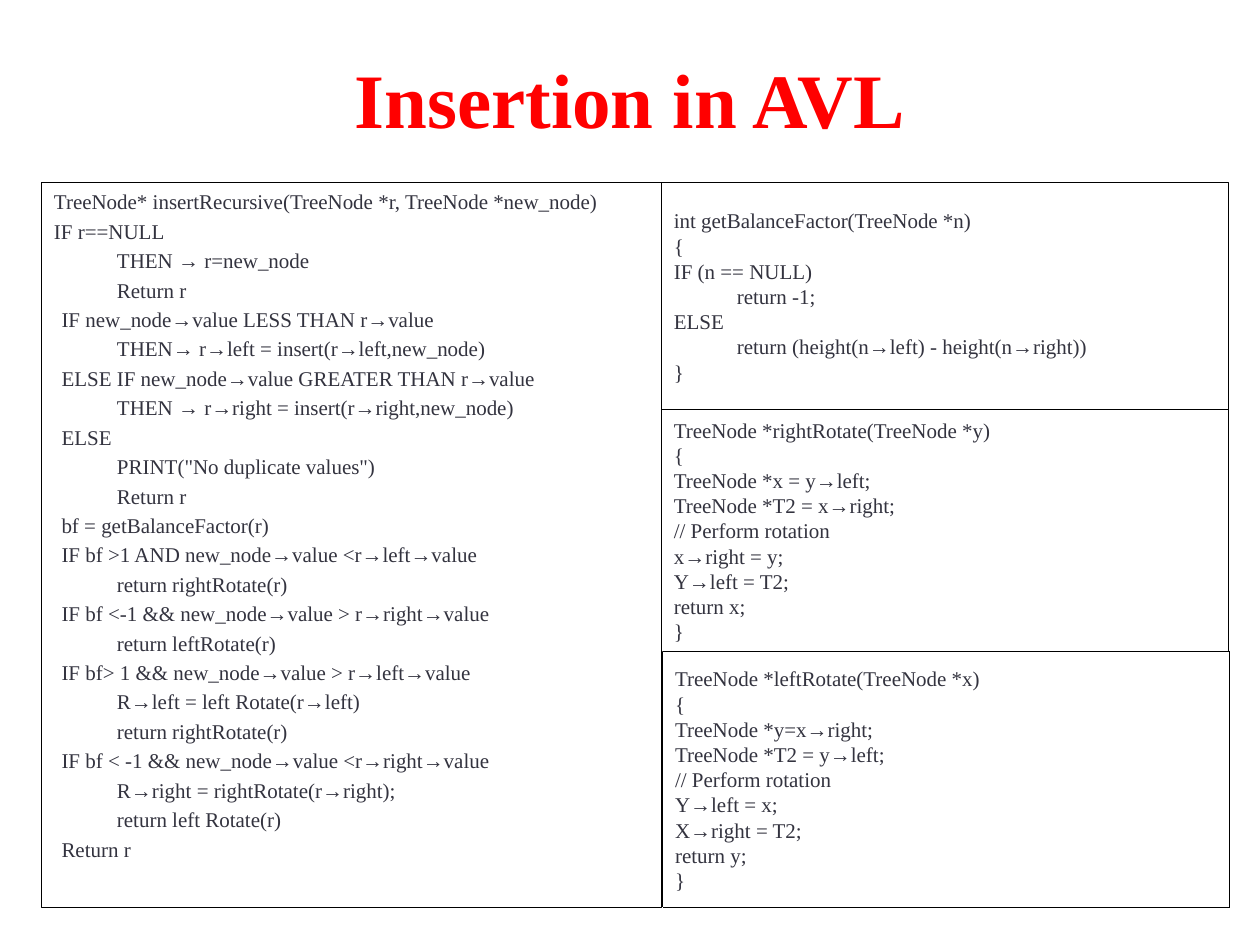
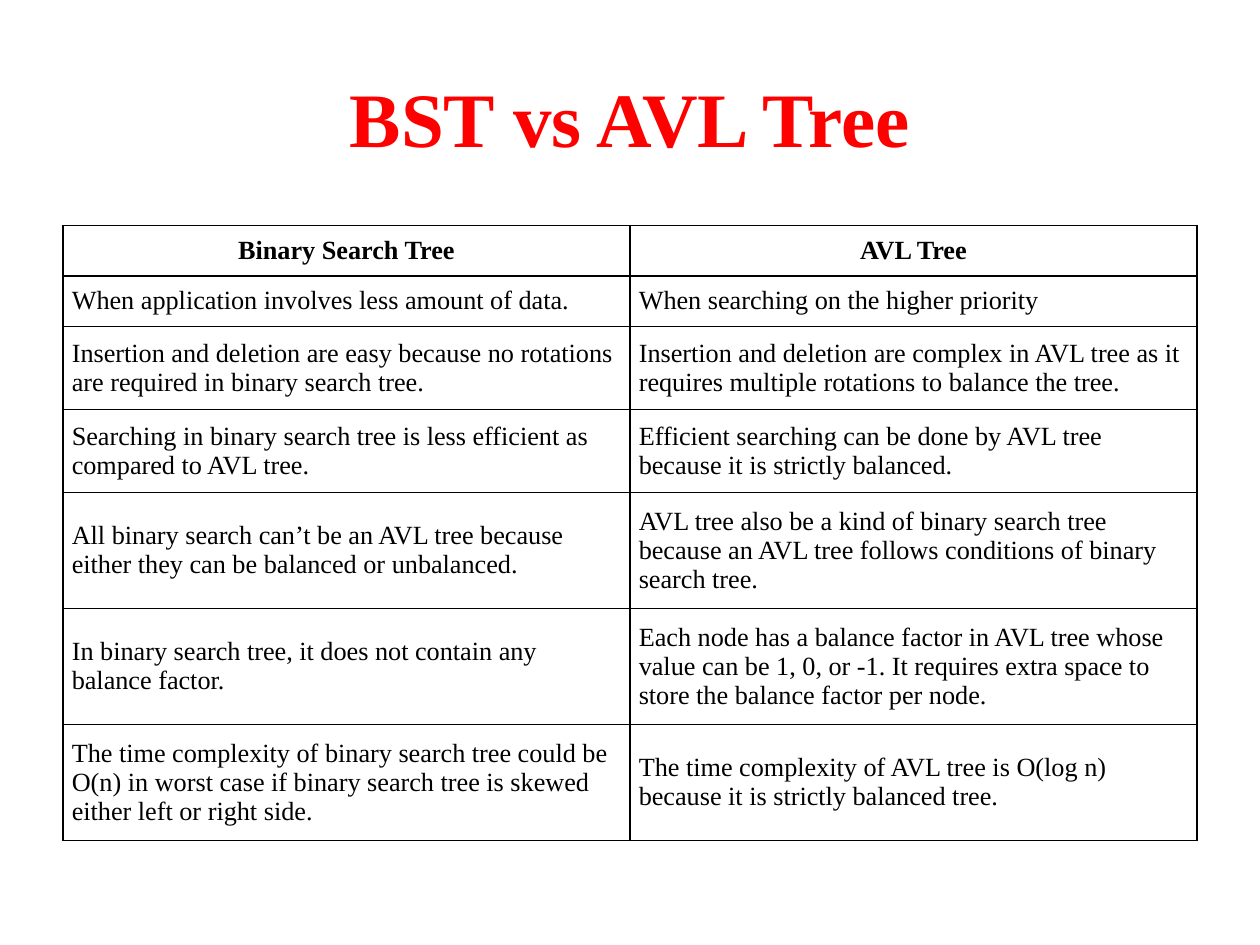
from lxml.etree import SubElement
from pptx import Presentation
from pptx.dml.color import RGBColor
from pptx.enum.dml import MSO_LINE
from pptx.enum.shapes import MSO_SHAPE
from pptx.enum.text import MSO_ANCHOR, PP_ALIGN
from pptx.oxml.ns import qn
from pptx.util import Inches, Pt

RED = RGBColor(0xFF, 0x00, 0x00)
BLACK = RGBColor(0x00, 0x00, 0x00)
WHITE = RGBColor(0xFF, 0xFF, 0xFF)
SLATE = RGBColor(0x33, 0x33, 0x3F)
FONT = "Times New Roman"

WIDTH, HEIGHT = 10, 7.5
MARGIN = WIDTH * 0.05
TITLE_TOP = HEIGHT * 0.04
CELL_INSET = Inches(0.07)

# Leading spaces of a code line -> left indent in inches
INDENTS = {0: 0, 1: 0.06, 4: 0.5}

INSERT_CODE = """\
TreeNode* insertRecursive(TreeNode *r, TreeNode *new_node)
IF r==NULL
    THEN → r=new_node
    Return r
 IF new_node→value LESS THAN r→value
    THEN→ r→left = insert(r→left,new_node)
 ELSE IF new_node→value GREATER THAN r→value
    THEN → r→right = insert(r→right,new_node)
 ELSE
    PRINT("No duplicate values")
    Return r
 bf = getBalanceFactor(r)
 IF bf >1 AND new_node→value <r→left→value
    return rightRotate(r)
 IF bf <-1 && new_node→value > r→right→value
    return leftRotate(r)
 IF bf> 1 && new_node→value > r→left→value
    R→left = left Rotate(r→left)
    return rightRotate(r)
 IF bf < -1 && new_node→value <r→right→value
    R→right = rightRotate(r→right);
    return left Rotate(r)
 Return r"""

BALANCE_CODE = """\
int getBalanceFactor(TreeNode *n)
{
IF (n == NULL)
    return -1;
ELSE
    return (height(n→left) - height(n→right))
}"""

RIGHT_ROTATE_CODE = """\
TreeNode *rightRotate(TreeNode *y)
{
TreeNode *x = y→left;
TreeNode *T2 = x→right;
// Perform rotation
x→right = y;
Y→left = T2;
return x;
}"""

LEFT_ROTATE_CODE = """\
TreeNode *leftRotate(TreeNode *x)
{
TreeNode *y=x→right;
TreeNode *T2 = y→left;
// Perform rotation
Y→left = x;
X→right = T2;
return y;
}"""

# Row height in inches, then the two cells
COMPARISON = [
    (0.4, "Binary Search Tree", "AVL Tree"),
    (0.4, "When application involves less amount of data.",
     "When searching on the higher priority"),
    (0.66, "Insertion and deletion are easy because no rotations are required "
     "in binary search tree.",
     "Insertion and deletion are complex in AVL tree as it requires multiple "
     "rotations to balance the tree."),
    (0.66, "Searching in binary search tree is less efficient as compared to "
     "AVL tree.",
     "Efficient searching can be done by AVL tree because it is strictly "
     "balanced."),
    (0.92, "All binary search can’t be an AVL tree because either they can be "
     "balanced or unbalanced.",
     "AVL tree also be a kind of binary search tree because an AVL tree "
     "follows conditions of binary search tree."),
    (0.92, "In binary search tree, it does not contain any balance factor.",
     "Each node has a balance factor in AVL tree whose value can be 1, 0, or "
     "-1. It requires extra space to store the balance factor per node."),
    (0.92, "The time complexity of binary search tree could be O(n) in worst "
     "case if binary search tree is skewed either left or right side.",
     "The time complexity of AVL tree is O(log n) because it is strictly "
     "balanced tree."),
]


def add_span(para, text, size, color, bold=False):
    span = para.add_run()
    span.text = text
    span.font.name = FONT
    span.font.size = Pt(size)
    span.font.bold = bold
    span.font.color.rgb = color


def add_title(page, text, height):
    box = page.shapes.add_textbox(Inches(MARGIN), Inches(TITLE_TOP),
                                  Inches(WIDTH - 2 * MARGIN), Inches(height))
    frame = box.text_frame
    frame.word_wrap = True
    frame.vertical_anchor = MSO_ANCHOR.MIDDLE
    para = frame.paragraphs[0]
    para.alignment = PP_ALIGN.CENTER
    add_span(para, text, 44, RED, bold=True)


def add_code_box(page, code, left, top, width, height,
                 anchor=MSO_ANCHOR.MIDDLE, gap=0):
    """Add a dotted frame of code; gap is the space before each line in points."""
    box = page.shapes.add_shape(MSO_SHAPE.RECTANGLE, Inches(left), Inches(top),
                                Inches(width), Inches(height))
    box.shadow.inherit = False
    box.fill.solid()
    box.fill.fore_color.rgb = WHITE
    box.line.color.rgb = BLACK
    box.line.width = Pt(0.25)
    box.line.dash_style = MSO_LINE.ROUND_DOT
    frame = box.text_frame
    frame.word_wrap = True
    frame.vertical_anchor = anchor
    for number, line in enumerate(code.splitlines()):
        para = frame.add_paragraph() if number else frame.paragraphs[0]
        para.alignment = PP_ALIGN.LEFT
        para.space_before = Pt(gap)
        text = line.lstrip()
        indent = INDENTS[len(line) - len(text)]
        properties = para._p.get_or_add_pPr()
        properties.set("marL", str(Inches(indent)))
        properties.set("indent", "0")
        add_span(para, text, 12, SLATE)


def add_borders(cell):
    properties = cell._tc.get_or_add_tcPr()
    for position, side in enumerate(("a:lnL", "a:lnR", "a:lnT", "a:lnB")):
        line = properties.makeelement(qn(side), {"w": str(Pt(1))})
        fill = SubElement(line, qn("a:solidFill"))
        SubElement(fill, qn("a:srgbClr"), val=str(BLACK))
        properties.insert(position, line)


def fill_cell(cell, text, is_header):
    cell.fill.solid()
    cell.fill.fore_color.rgb = WHITE
    cell.vertical_anchor = MSO_ANCHOR.MIDDLE
    cell.margin_left = cell.margin_right = CELL_INSET
    cell.margin_top = cell.margin_bottom = CELL_INSET
    para = cell.text_frame.paragraphs[0]
    para.alignment = PP_ALIGN.CENTER if is_header else PP_ALIGN.LEFT
    add_span(para, text, 15, BLACK, bold=is_header)
    add_borders(cell)


def add_comparison(page, rows, top):
    height = sum(row[0] for row in rows)
    width = WIDTH - 2 * MARGIN
    table = page.shapes.add_table(len(rows), 2, Inches(MARGIN), Inches(top),
                                  Inches(width), Inches(height)).table
    for row_number, (row_height, *texts) in enumerate(rows):
        table.rows[row_number].height = Inches(row_height)
        for column, text in enumerate(texts):
            fill_cell(table.cell(row_number, column), text, row_number == 0)


def build_insertion(page):
    add_title(page, "Insertion in AVL", 0.95)
    top, bottom = 1.45, 7.2
    left, middle, right_width = 0.33, 5.25, 4.5
    add_code_box(page, INSERT_CODE, left, top, middle - left, bottom - top,
                 MSO_ANCHOR.TOP, gap=2.4)
    helpers = [(BALANCE_CODE, middle, 1.8), (RIGHT_ROTATE_CODE, middle, 1.92),
               (LEFT_ROTATE_CODE, middle + 0.01, 2.03)]
    for code, helper_left, height in helpers:
        add_code_box(page, code, helper_left, top, right_width, height)
        top += height


def build_comparison(page):
    add_title(page, "BST vs AVL Tree", 1.25)
    add_comparison(page, COMPARISON, 1.79)


def main():
    deck = Presentation()
    deck.slide_width, deck.slide_height = Inches(WIDTH), Inches(HEIGHT)
    blank = deck.slide_layouts[6]
    for build in (build_insertion, build_comparison):
        build(deck.slides.add_slide(blank))
    deck.save("out.pptx")


if __name__ == "__main__":
    main()
